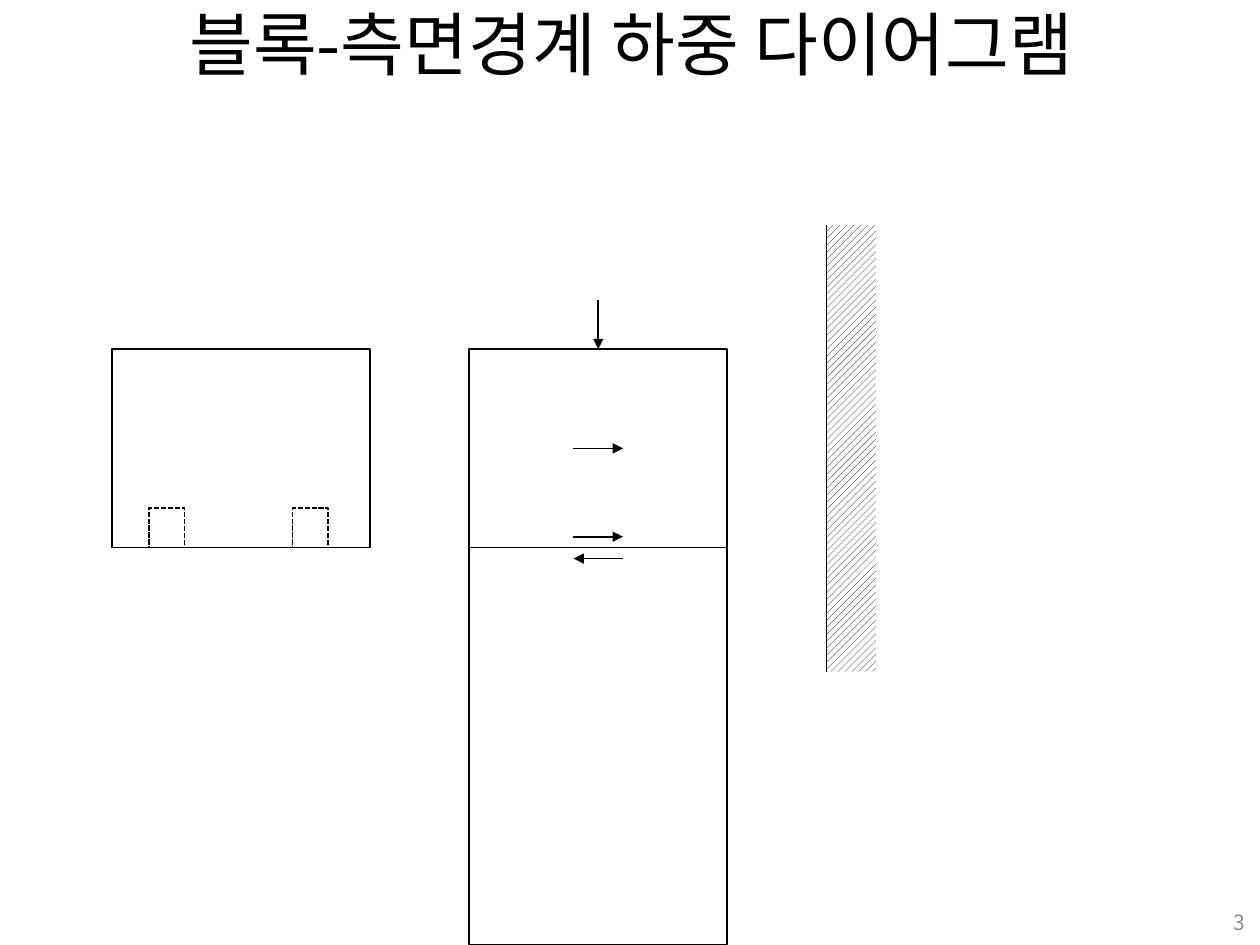
from dataclasses import dataclass

from lxml import etree
from pptx import Presentation
from pptx.dml.color import RGBColor
from pptx.enum.dml import MSO_LINE, MSO_PATTERN
from pptx.enum.shapes import MSO_CONNECTOR, MSO_SHAPE
from pptx.enum.text import MSO_ANCHOR, MSO_AUTO_SIZE, PP_ALIGN
from pptx.oxml.ns import qn
from pptx.util import Cm, Inches, Pt

RECT, STRAIGHT = MSO_SHAPE.RECTANGLE, MSO_CONNECTOR.STRAIGHT
DASH, HATCH = MSO_LINE.SQUARE_DOT, MSO_PATTERN.WIDE_UPWARD_DIAGONAL
MIDDLE, CENTER, RIGHT = MSO_ANCHOR.MIDDLE, PP_ALIGN.CENTER, PP_ALIGN.RIGHT


@dataclass(frozen=True)
class Theme:
    font: str = "Noto Sans CJK KR"
    ink: RGBColor = RGBColor(0, 0, 0)
    muted: RGBColor = RGBColor(0x8C, 0x8C, 0x8C)
    paper: RGBColor = RGBColor(255, 255, 255)
    title_size: float = 39.6
    number_size: float = 12
    stroke: float = 1


THEME = Theme()

# Content: the diagram is laid out in centimetres
TITLE = "블록-측면경계 하중 다이어그램"
PAGE_NUMBER = "3"
LEFT, TOP = 2.26, 7.04
BLOCK_W, BLOCK_H, COLUMN_GAP = 5.2, 4, 2
FOUNDATION_H = 2 * BLOCK_H
SLOT_W, SLOT_H, SLOT_INSET = 0.72, 0.8, 0.74
WALL_W, WALL_H, WALL_RISE = 1, 9, 2.5
ARROW, SHEAR_GAP = 1, 0.22

# Columns: plain block, loaded block, side boundary
plain_x, loaded_x, wall_x = (LEFT + i * (BLOCK_W + COLUMN_GAP) for i in range(3))
base_y = TOP + BLOCK_H
load_x = loaded_x + BLOCK_W / 2
wall_y = TOP - WALL_RISE

BLOCKS = [
    (loaded_x, TOP, BLOCK_W, BLOCK_H, False),
    (plain_x, TOP, BLOCK_W, BLOCK_H, False),
    *((x, base_y - SLOT_H, SLOT_W, SLOT_H, True)
      for x in (plain_x + SLOT_INSET, plain_x + BLOCK_W - SLOT_INSET - SLOT_W - 0.1)),
    (loaded_x, base_y, BLOCK_W, FOUNDATION_H, False),
]
# Horizontal forces: height and direction
FORCES = [
    (TOP + BLOCK_H / 2, 1),
    (base_y - SHEAR_GAP, 1),
    (base_y + SHEAR_GAP, -1),
]


def set_text(shape, text, size, color, align):
    frame = shape.text_frame
    for name, value in {"text": text, "word_wrap": True, "vertical_anchor": MIDDLE,
                        "auto_size": MSO_AUTO_SIZE.NONE}.items():
        setattr(frame, name, value)
    paragraph = frame.paragraphs[0]
    paragraph.alignment = align
    run = paragraph.runs[0]
    run.font.name, run.font.size = THEME.font, Pt(size)
    run.font.color.rgb = color
    east_asian = etree.SubElement(run.font._element, qn("a:ea"))
    east_asian.set("typeface", THEME.font)


def set_stroke(line, dashed=False):
    line.color.rgb = THEME.ink
    line.width = Pt(THEME.stroke)
    if dashed:
        line.dash_style = DASH


def add_rect(slide, x, y, width, height):
    rect = slide.shapes.add_shape(RECT, Cm(x), Cm(y), Cm(width), Cm(height))
    rect.shadow.inherit = False
    return rect


def add_line(slide, x1, y1, x2, y2, arrow=True):
    line = slide.shapes.add_connector(STRAIGHT, Cm(x1), Cm(y1), Cm(x2), Cm(y2))
    set_stroke(line.line)
    properties = line._element.spPr
    if arrow:
        etree.SubElement(properties.find(qn("a:ln")), qn("a:tailEnd")).set("type", "triangle")
    etree.SubElement(properties, qn("a:effectLst"))


def main():
    prs = Presentation()
    prs.slide_width, prs.slide_height = Inches(10), Inches(7.5)
    slide = prs.slides.add_slide(prs.slide_layouts[5])

    # Title and page number
    title = slide.shapes.title
    title.left, title.top, title.width, title.height = map(Inches, (0.51, 0, 9, 0.68))
    set_text(title, TITLE, THEME.title_size, THEME.ink, CENTER)
    number = slide.shapes.add_textbox(*map(Inches, (7.65, 7.12, 2.33, 0.4)))
    set_text(number, PAGE_NUMBER, THEME.number_size, THEME.muted, RIGHT)

    # Blocks, slots and foundation
    for *place, dashed in BLOCKS:
        block = add_rect(slide, *place)
        block.fill.background()
        set_stroke(block.line, dashed)

    # Hatched side boundary
    wall = add_rect(slide, wall_x, wall_y, WALL_W, WALL_H)
    wall.fill.patterned()
    wall.fill.pattern = HATCH
    wall.fill.fore_color.rgb = THEME.ink
    wall.fill.back_color.rgb = THEME.paper
    wall.line.fill.background()
    add_line(slide, wall_x, wall_y, wall_x, wall_y + WALL_H, arrow=False)

    # Load arrows
    add_line(slide, load_x, TOP - ARROW, load_x, TOP)
    for y, direction in FORCES:
        reach = direction * ARROW / 2
        add_line(slide, load_x - reach, y, load_x + reach, y)

    prs.save("out.pptx")


if __name__ == "__main__":
    main()
